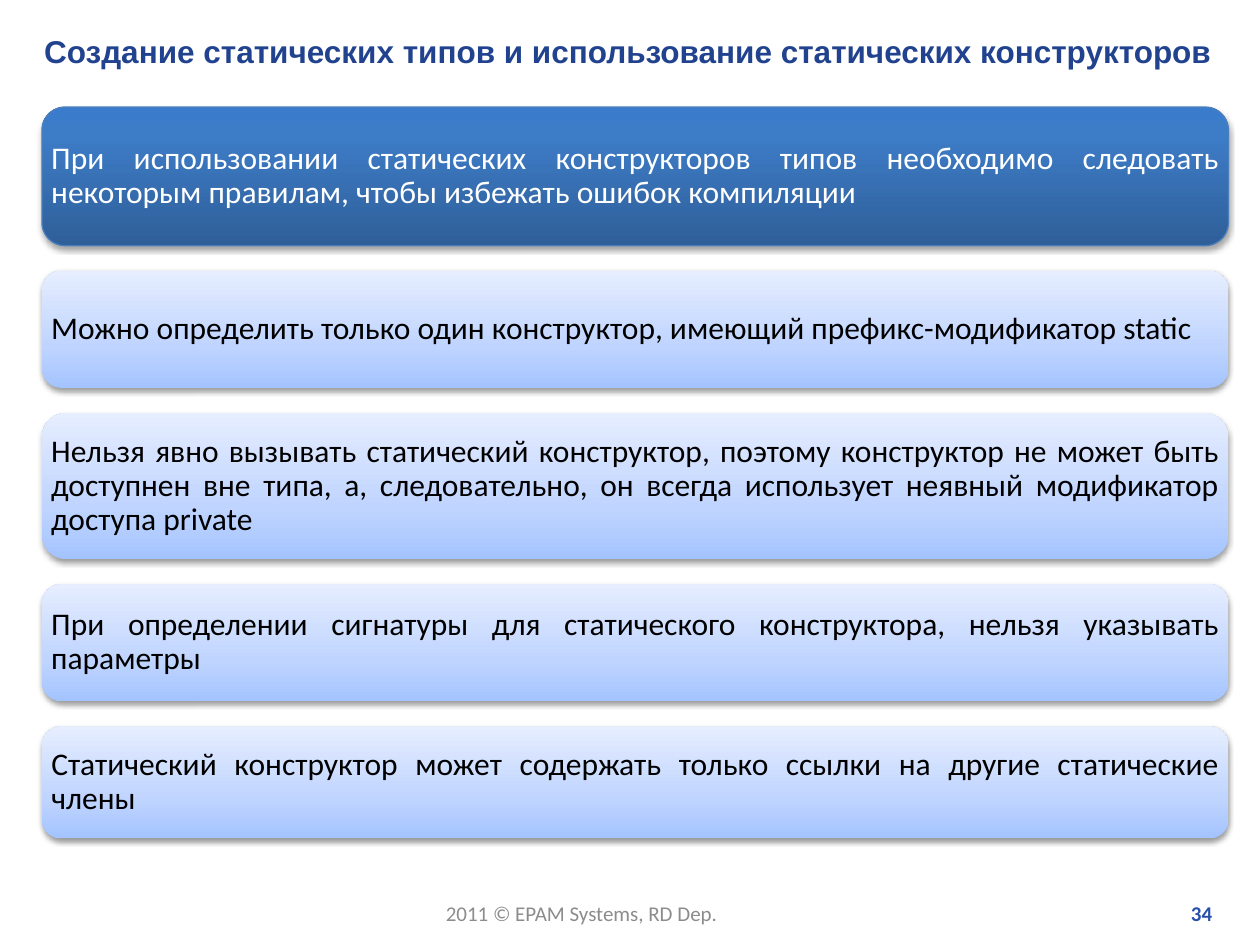
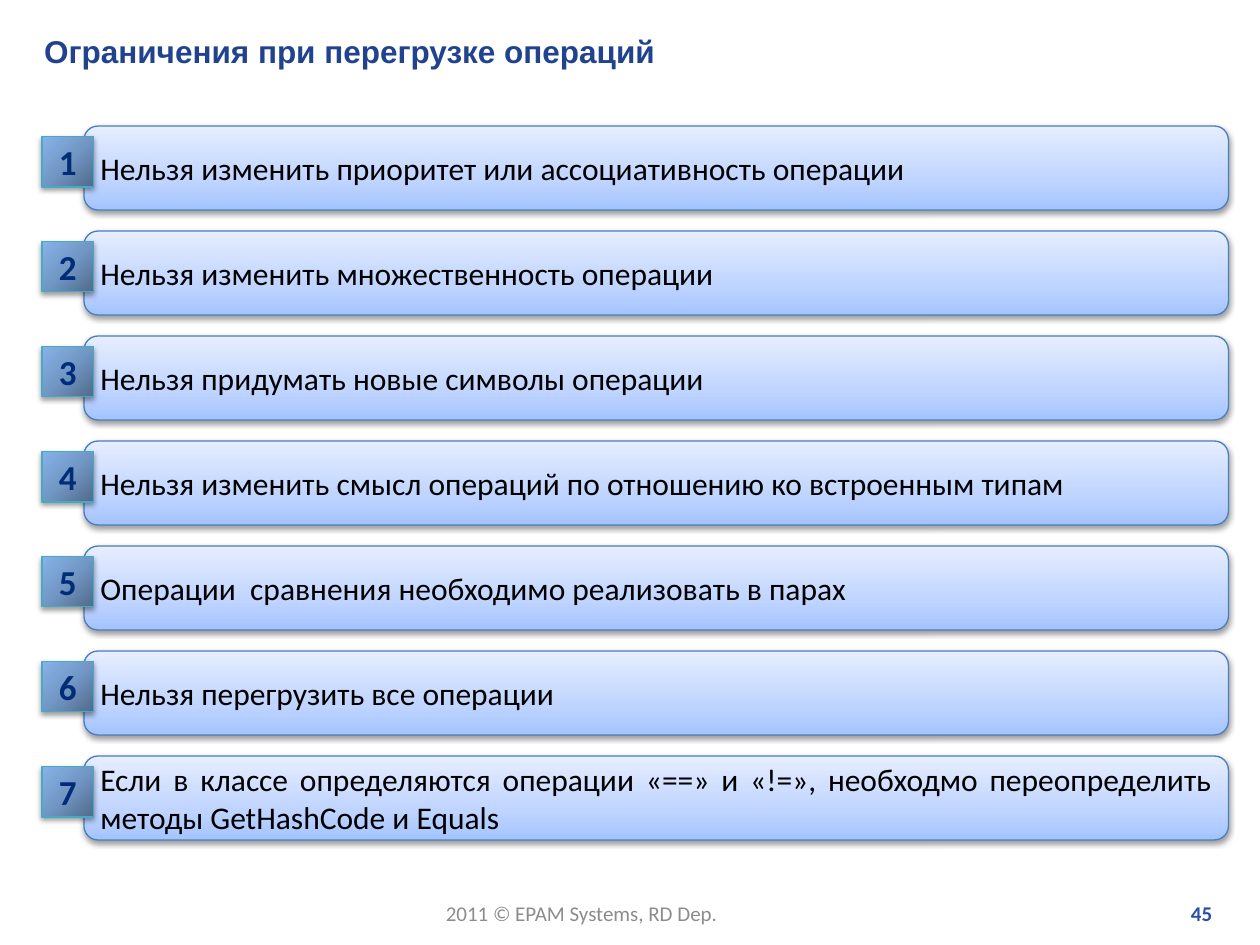
from lxml import etree
from pptx import Presentation
from pptx.dml.color import RGBColor
from pptx.enum.shapes import MSO_SHAPE
from pptx.enum.text import MSO_ANCHOR, PP_ALIGN
from pptx.oxml.ns import qn
from pptx.util import Pt

ROUNDED = MSO_SHAPE.ROUNDED_RECTANGLE
MIDDLE = MSO_ANCHOR.MIDDLE
LEFT, CENTER, RIGHT, JUSTIFY = (
    PP_ALIGN.LEFT, PP_ALIGN.CENTER, PP_ALIGN.RIGHT, PP_ALIGN.JUSTIFY)

# Colours
TITLE_BLUE = RGBColor(0x21, 0x43, 0x8F)
PAGE_BLUE = RGBColor(0x27, 0x50, 0xAB)
BADGE_NAVY = RGBColor(0x00, 0x2C, 0x78)
FOOTER_GREY = RGBColor(0x8C, 0x8C, 0x8C)
BORDER_BLUE = RGBColor(0x4B, 0x7E, 0xBC)
BADGE_TEAL = RGBColor(0x46, 0xAA, 0xC5)
WHITE = RGBColor(0xFF, 0xFF, 0xFF)
BLACK = RGBColor(0x00, 0x00, 0x00)

# Gradients: (position in percent, colour), running upwards
DARK = [(0, RGBColor(0x2F, 0x5F, 0x99)), (80, RGBColor(0x3D, 0x7C, 0xC7)),
        (100, RGBColor(0x3A, 0x7C, 0xCB))]
LIGHT = [(0, RGBColor(0xA4, 0xC4, 0xFF)), (35, RGBColor(0xBF, 0xD4, 0xFF)),
         (100, RGBColor(0xE6, 0xEE, 0xFF))]
STEEL = [(0, RGBColor(0x50, 0x6A, 0x8A)), (50, RGBColor(0x72, 0x97, 0xC5)),
         (100, RGBColor(0x87, 0xB3, 0xE9))]

# Shared layout, in points
EDGE_LEFT, EDGE_RIGHT = 24, 702
FOOTER = "2011 © EPAM Systems, RD Dep."

RULES_TITLE = "Создание статических типов и использование статических конструкторов"
RULES = [  # (height, text)
    (79.2, "При использовании статических конструкторов типов необходимо "
           "следовать некоторым правилам, чтобы избежать ошибок компиляции"),
    (67, "Можно определить только один конструктор, имеющий "
         "префикс-модификатор static"),
    (83.5, "Нельзя явно вызывать статический конструктор, поэтому конструктор "
           "не может быть доступнен вне типа, а, следовательно, он всегда "
           "использует неявный модификатор доступа private"),
    (67, "При определении сигнатуры для статического конструктора, нельзя "
         "указывать параметры"),
    (64, "Статический конструктор может содержать только ссылки на другие "
         "статические члены"),
]

LIMITS_TITLE = "Ограничения при перегрузке операций"
LIMITS = [
    "Нельзя изменить приоритет или ассоциативность операции",
    "Нельзя изменить множественность операции",
    "Нельзя придумать новые символы операции",
    "Нельзя изменить смысл операций по отношению ко встроенным типам",
    "Операции  сравнения необходимо реализовать в парах",
    "Нельзя перегрузить все операции",
    "Если в классе определяются операции «==» и «!=», необходмо "
    "переопределить методы GetHashCode и Equals",
]


def write(tf, text, size=18, font="Calibri", color=BLACK, bold=False,
          align=LEFT, anchor=None, spacing=None, wrap=True):
    tf.word_wrap = wrap
    if anchor is not None:
        tf.vertical_anchor = anchor
    p = tf.paragraphs[0]
    p.alignment = align
    p.line_spacing = spacing
    r = p.add_run()
    r.text = text
    r.font.size = Pt(size)
    r.font.name = font
    r.font.bold = bold
    r.font.color.rgb = color


def set_gradient(sp, stops, angle):
    sp.fill.gradient()
    sp.fill.gradient_angle = angle
    stop_list = sp.element.spPr.find(".//" + qn("a:gsLst"))
    for stop in list(stop_list):
        stop_list.remove(stop)
    for position, color in stops:
        stop = etree.SubElement(stop_list, qn("a:gs"), pos=str(position * 1000))
        etree.SubElement(stop, qn("a:srgbClr"), val=str(color))


def set_shadow(sp, opacity, distance):
    sp.shadow.inherit = False
    effects = sp.element.spPr.find(qn("a:effectLst"))
    shadow = etree.SubElement(
        effects, qn("a:outerShdw"), blurRad=str(Pt(3.1)),
        dist=str(Pt(distance)), dir="5400000", rotWithShape="0")
    color = etree.SubElement(shadow, qn("a:srgbClr"), val=str(BLACK))
    etree.SubElement(color, qn("a:alpha"), val=str(opacity * 1000))


def add_panel(s, left, top, width, height, stops, angle=90, line=None,
              opacity=38, distance=1.6):
    sp = s.shapes.add_shape(ROUNDED, Pt(left), Pt(top), Pt(width), Pt(height))
    set_gradient(sp, stops, angle)
    set_shadow(sp, opacity, distance)
    if line is None:
        sp.line.fill.background()
    else:
        sp.line.color.rgb = line
        sp.line.width = Pt(0.75)
    return sp


def add_rule(s, top, height, text, heading):
    width = EDGE_RIGHT - EDGE_LEFT
    if heading:
        sp = add_panel(s, EDGE_LEFT, top, width, height, DARK,
                       line=BORDER_BLUE, opacity=35, distance=1.8)
    else:
        sp = add_panel(s, EDGE_LEFT, top, width, height, LIGHT)
    # Taller boxes have rounder corners that already push the text inwards
    tf = sp.text_frame
    inset = Pt(5.4 - 0.05 * height)
    tf.margin_left = tf.margin_right = inset
    tf.margin_top = tf.margin_bottom = inset
    write(tf, text, color=WHITE if heading else BLACK, align=JUSTIFY,
          anchor=MIDDLE, spacing=0.9)


def add_limit(s, top, number, text):
    left = 48
    bar = add_panel(s, left, top, EDGE_RIGHT - left, 48, LIGHT,
                    line=BORDER_BLUE)
    write(bar.text_frame, text, align=JUSTIFY, anchor=MIDDLE)
    badge = add_panel(s, EDGE_LEFT, top + 6, 29.5, 28.8, STEEL, angle=135,
                      line=BADGE_TEAL)
    badge.adjustments[0] = 0
    write(badge.text_frame, str(number), size=20, color=BADGE_NAVY, bold=True,
          align=CENTER, anchor=MIDDLE, wrap=False)


def add_footer_text(s, left, width, text, **style):
    box = s.shapes.add_textbox(Pt(left), Pt(511.2), Pt(width), Pt(21.6))
    write(box.text_frame, text, size=12, **style)


def add_slide(prs, title, page):
    s = prs.slides.add_slide(prs.slide_layouts[5])
    sp = s.shapes.title
    sp.left, sp.top, sp.width, sp.height = Pt(18), Pt(14.4), Pt(687), Pt(28.8)
    write(sp.text_frame, title, font="Arial", color=TITLE_BLUE, bold=True,
          anchor=MIDDLE)
    add_footer_text(s, 247.7, 172, FOOTER, color=FOOTER_GREY, wrap=False)
    add_footer_text(s, 547.2, 152.6, str(page), color=PAGE_BLUE, bold=True,
                    align=RIGHT)
    return s


def main():
    prs = Presentation()
    prs.slide_width, prs.slide_height = Pt(720), Pt(540)

    # Static constructor rules, stacked with equal gaps
    s = add_slide(prs, RULES_TITLE, 34)
    top, gap = 61.2, 14.3
    for i, (height, text) in enumerate(RULES):
        add_rule(s, top, height, text, heading=i == 0)
        top += height + gap

    # Numbered operator overloading limits
    s = add_slide(prs, LIMITS_TITLE, 45)
    for i, text in enumerate(LIMITS):
        add_limit(s, 72 + 60 * i, i + 1, text)

    prs.save("out.pptx")


if __name__ == "__main__":
    main()
